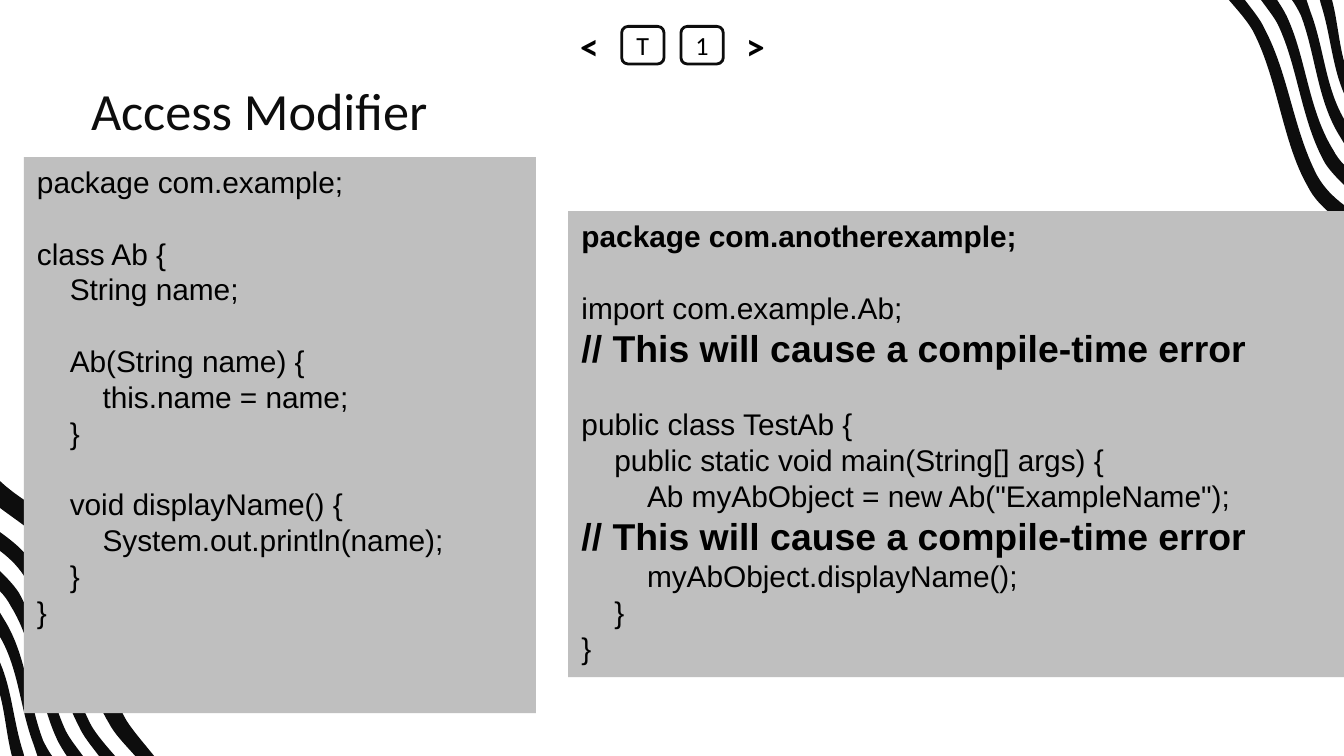
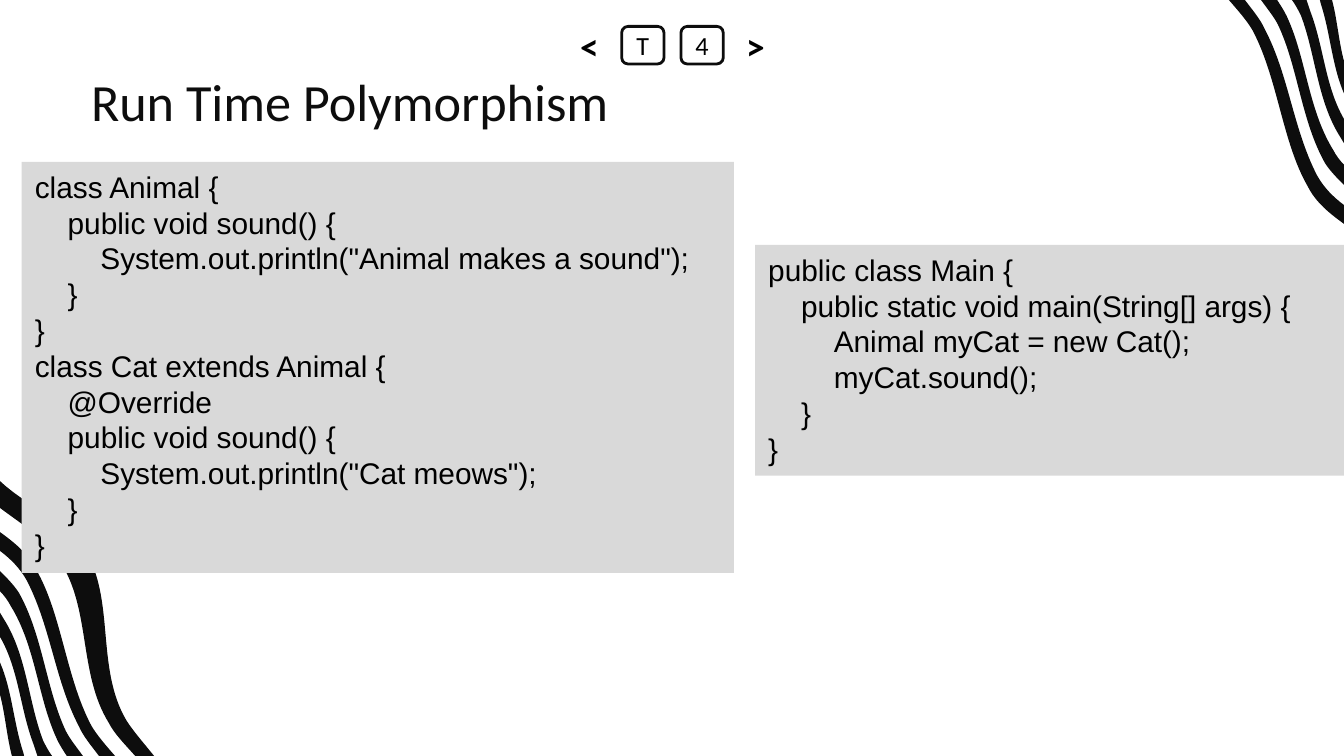
from lxml.etree import SubElement
from pptx import Presentation
from pptx.dml.color import RGBColor
from pptx.enum.shapes import MSO_SHAPE
from pptx.enum.text import MSO_ANCHOR, MSO_AUTO_SIZE, PP_ALIGN
from pptx.oxml.ns import qn
from pptx.util import Cm, Pt

INK = RGBColor(0x0D, 0x0D, 0x0D)
BLACK = RGBColor(0, 0, 0)
WHITE = RGBColor(0xFF, 0xFF, 0xFF)
GREY = RGBColor(0xBF, 0xBF, 0xBF)
PALE = RGBColor(0xD9, 0xD9, 0xD9)

WIDTH, HEIGHT = 25.4, 14.29
TAB = 0.62  # width of four spaces of code
LINE = 19.2  # height of one empty line of code, in points
WARN = "// This will cause a compile-time error"
BOLD = {"package com.anotherexample;": 16, WARN: 20}

# Each panel: (left, top, width, height) in cm, then lines of code.
SLIDES = [
    {
        "title": "Access Modifier", "top": 1.38, "number": "1", "fill": GREY,
        "panels": [
            ((0.45, 2.97, 9.68, 10.51), [
                "package com.example;",
                "",
                "class Ab {",
                "    String name;",
                "",
                "    Ab(String name) {",
                "        this.name = name;",
                "    }",
                "",
                "    void displayName() {",
                "        System.out.println(name);",
                "    }",
                "}",
            ]),
            ((10.74, 3.99, 14.66, 8.81), [
                "package com.anotherexample;",
                "",
                "import com.example.Ab;",
                WARN,
                "",
                "public class TestAb {",
                "    public static void main(String[] args) {",
                "        Ab myAbObject = new Ab(\"ExampleName\");",
                WARN,
                "        myAbObject.displayName();",
                "    }",
                "}",
            ]),
        ],
    },
    {
        "title": "Run Time Polymorphism", "top": 1.22, "number": "4", "fill": PALE,
        "panels": [
            ((0.41, 3.06, 13.46, 7.77), [
                "class Animal {",
                "    public void sound() {",
                "        System.out.println(\"Animal makes a sound\");",
                "    }",
                "}",
                "class Cat extends Animal {",
                "    @Override",
                "    public void sound() {",
                "        System.out.println(\"Cat meows\");",
                "    }",
                "}",
            ]),
            ((14.27, 4.63, 11.13, 4.36), [
                "public class Main {",
                "    public static void main(String[] args) {",
                "        Animal myCat = new Cat();",
                "        myCat.sound();",
                "    }",
                "}",
            ]),
        ],
    },
]

# Lower and upper edge of each stripe, as Bezier points in units of 2.54 cm.
WAVES = [
    ([(0, 3.78), (0.16, 3.9), (0.34, 4.01), (0.44, 4.17), (0.68, 4.52),
      (0.58, 5.01), (0.81, 5.38), (0.85, 5.46), (0.93, 5.54), (1.01, 5.63)],
     [(1.15, 5.63), (1.07, 5.53), (0.99, 5.44), (0.94, 5.36), (0.71, 4.97),
      (0.86, 4.46), (0.63, 4.09), (0.49, 3.88), (0.19, 3.76), (0, 3.58)]),
    ([(0, 4.1), (0.08, 4.16), (0.15, 4.23), (0.2, 4.32), (0.38, 4.67),
      (0.41, 5.07), (0.59, 5.41), (0.62, 5.48), (0.68, 5.55), (0.74, 5.63)],
     [(0.86, 5.63), (0.79, 5.55), (0.72, 5.47), (0.68, 5.4), (0.49, 5.04),
      (0.46, 4.57), (0.27, 4.24), (0.21, 4.12), (0.11, 4.04), (0, 3.96)]),
    ([(0, 4.4), (0.03, 4.43), (0.06, 4.47), (0.08, 4.51), (0.26, 4.8),
      (0.28, 5.17), (0.41, 5.47), (0.43, 5.52), (0.46, 5.57), (0.5, 5.63)],
     [(0.62, 5.63), (0.57, 5.56), (0.52, 5.5), (0.49, 5.44), (0.34, 5.12),
      (0.32, 4.73), (0.14, 4.41), (0.1, 4.35), (0.05, 4.3), (0, 4.25)]),
    ([(0, 4.74), (0.14, 4.98), (0.15, 5.28), (0.25, 5.54), (0.26, 5.57),
      (0.27, 5.6), (0.28, 5.63)],
     [(0.39, 5.63), (0.36, 5.59), (0.34, 5.55), (0.32, 5.51), (0.21, 5.22),
      (0.2, 4.88), (0.03, 4.61), (0.02, 4.59), (0.01, 4.58), (0, 4.56)]),
    ([(0, 5.17), (0.04, 5.32), (0.05, 5.48), (0.09, 5.63)],
     [(0.18, 5.63), (0.18, 5.61), (0.17, 5.6), (0.17, 5.59), (0.1, 5.37),
      (0.09, 5.14), (0, 4.93)]),
]


def paint(shape, fill, line=None):
    shape.shadow.inherit = False
    shape.fill.solid()
    shape.fill.fore_color.rgb = fill
    if line is None:
        shape.line.fill.background()
    else:
        shape.line.color.rgb = line
        shape.line.width = Pt(1.5)


def style(par, size, color=BLACK, font="Calibri", bold=False):
    for run in par.runs:
        run.font.name = font
        run.font.size = Pt(size)
        run.font.bold = bold
        run.font.color.rgb = color


def inset(frame, gap):
    frame.margin_left = frame.margin_right = Cm(gap)
    frame.margin_top = frame.margin_bottom = Cm(gap)


def bend(lines):
    """Merge each three line segments into one cubic Bezier curve."""
    for i in range(0, len(lines), 3):
        curve = SubElement(lines[i].getparent(), qn("a:cubicBezTo"))
        lines[i].addprevious(curve)
        for line in lines[i:i + 3]:
            curve.append(line[0])
            line.getparent().remove(line)


def add_wave(slide, layout, low, high):
    """Draw a stripe and move it to the layout that all slides share."""
    points = [(Cm(x), Cm(y)) for x, y in low + high]
    build = slide.shapes.build_freeform(*points[0])
    build.add_line_segments(points[1:], close=True)
    wave = build.convert_to_shape()
    paint(wave, INK)
    lines = list(wave.element.iter(qn("a:lnTo")))
    turn = len(low) - 1
    bend(lines[:turn])
    bend(lines[turn + 1:len(points) - 1])
    layout.shapes.element.append(wave.element)


def add_waves(slide, layout):
    pairs = [[[(x * 2.54, y * 2.54) for x, y in edge] for edge in wave]
             for wave in WAVES]
    # The upper right corner repeats all but the widest stripe, turned by 180 degrees.
    pairs += [[[(WIDTH - x, HEIGHT - y) for x, y in edge] for edge in wave]
              for wave in pairs[1:]]
    for low, high in pairs:
        add_wave(slide, layout, low, high)


def add_title(slide, text, top):
    title = slide.shapes.title
    title.left, title.top = Cm(1.47), Cm(top)
    title.width, title.height = Cm(20.55), Cm(1.6)
    frame = title.text_frame
    frame.text = text
    frame.auto_size = MSO_AUTO_SIZE.NONE
    frame.vertical_anchor = MSO_ANCHOR.MIDDLE
    inset(frame, 0.25)
    par = frame.paragraphs[0]
    par.alignment = PP_ALIGN.LEFT
    par.line_spacing = 0.8
    style(par, 28, INK)


def add_keys(slide, number):
    keys = [(number, 12.87), ("T", 11.75), ("<", 10.74), (">", 13.88)]
    for text, left in keys:
        arrow = text in "<>"
        key = slide.shapes.add_shape(MSO_SHAPE.ROUNDED_RECTANGLE, Cm(left),
                                     Cm(0.5), Cm(0.8), Cm(0.71))
        paint(key, WHITE, None if arrow else INK)
        frame = key.text_frame
        frame.text = text
        frame.vertical_anchor = MSO_ANCHOR.MIDDLE
        inset(frame, 0)
        par = frame.paragraphs[0]
        par.alignment = PP_ALIGN.CENTER
        style(par, 20 if arrow else 14, bold=arrow)


def add_code(slide, place, lines, fill):
    """Add a panel of code; empty lines become space, leading blanks an indent."""
    panel = slide.shapes.add_shape(MSO_SHAPE.RECTANGLE, *map(Cm, place))
    paint(panel, fill)
    frame = panel.text_frame
    frame.word_wrap = True
    frame.vertical_anchor = MSO_ANCHOR.TOP
    frame.text = "\n".join(line.strip() for line in lines if line)
    pars = iter(frame.paragraphs)
    gap = 0
    for line in lines:
        if not line:
            gap = LINE
            continue
        par = next(pars)
        text = line.strip()
        depth = (len(line) - len(text)) // 4
        par.alignment = PP_ALIGN.LEFT
        par.space_before = Pt(gap)
        props = par._p.get_or_add_pPr()
        props.set("marL", str(Cm(TAB * depth)))
        props.set("indent", "0")
        style(par, BOLD.get(text, 16), font="Arial", bold=text in BOLD)
        gap = 0


def main():
    deck = Presentation()
    deck.slide_width, deck.slide_height = Cm(WIDTH), Cm(HEIGHT)
    layout = deck.slide_layouts.get_by_name("Title Only")
    for page in SLIDES:
        slide = deck.slides.add_slide(layout)
        if page is SLIDES[0]:
            add_waves(slide, layout)
        add_title(slide, page["title"], page["top"])
        add_keys(slide, page["number"])
        for place, lines in page["panels"]:
            add_code(slide, place, lines, page["fill"])
    deck.save("out.pptx")


if __name__ == "__main__":
    main()
